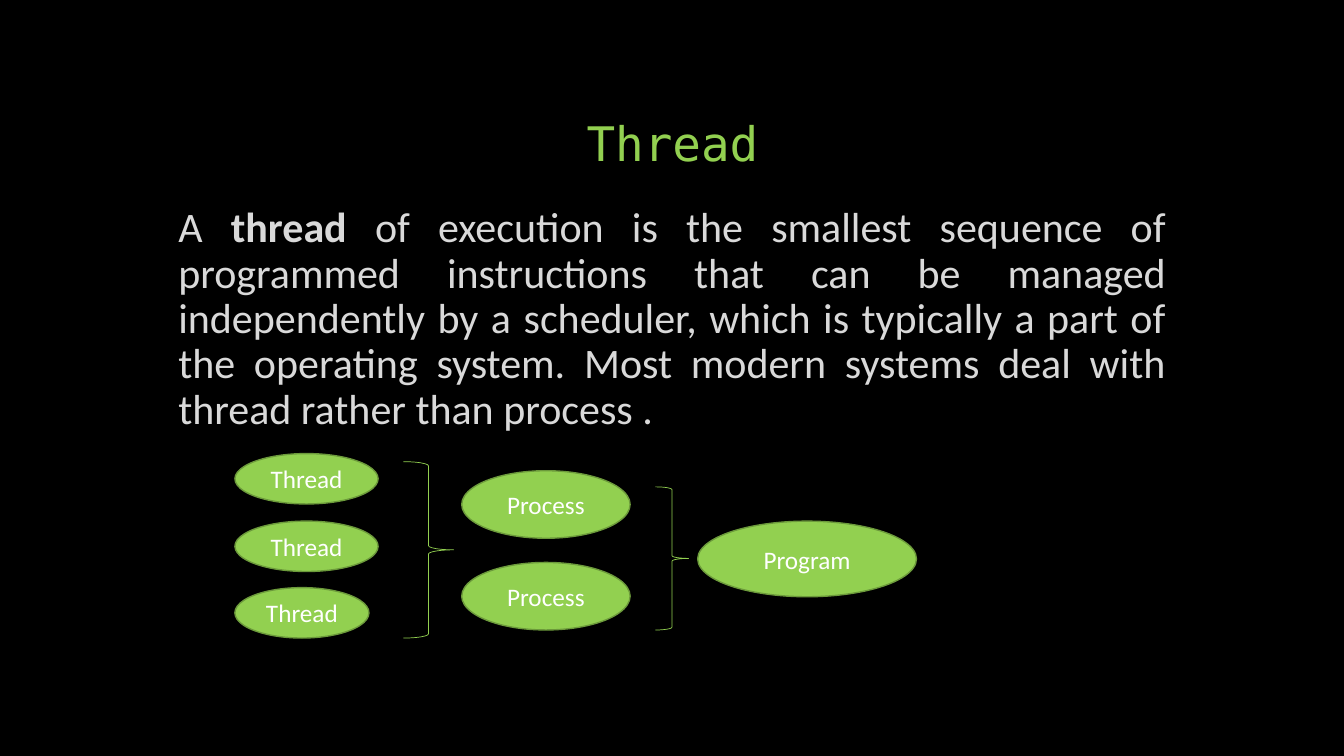
from pptx import Presentation
from pptx.dml.color import RGBColor
from pptx.enum.shapes import MSO_SHAPE
from pptx.enum.text import MSO_ANCHOR, PP_ALIGN
from pptx.util import Inches, Pt

COLORS = {"background": "000000", "green": "92D050", "outline": "6C9A3B",
          "body": "D9D9D9", "label": "FFFFFF"}
TITLE = "Thread"
# Each run is its text and whether it is bold.
DEFINITION = [
    ("A ", False),
    ("thread", True),
    (" of execution is the smallest sequence of programmed instructions that can be "
     "managed independently by a scheduler, which is typically a part of the operating "
     "system. Most modern systems deal with thread rather than process .", False),
]
# Label, left, top, width, height
ELLIPSES = [
    ("Thread", 2.33, 4.5, 1.42, 0.5),
    ("Thread", 2.33, 5.17, 1.42, 0.5),
    ("Thread", 2.33, 5.83, 1.33, 0.5),
    ("Process", 4.58, 4.67, 1.67, 0.67),
    ("Process", 4.58, 5.58, 1.67, 0.67),
    ("Program", 6.92, 5.17, 2.17, 0.75),
]
BRACES = [(4, 4.58, 0.5, 1.75), (6.5, 4.83, 0.33, 1.42)]


def color(name):
    return RGBColor.from_string(COLORS[name])


def style_text(para, size, color_name, align, font="Calibri"):
    para.alignment = align
    para.font.name = font
    para.font.size = Pt(size)
    para.font.color.rgb = color(color_name)


def add_text_box(page, bounds, anchor):
    """Add a wrapping text box and return its first paragraph."""
    frame = page.shapes.add_textbox(*map(Inches, bounds)).text_frame
    frame.word_wrap = True
    frame.vertical_anchor = anchor
    para = frame.paragraphs[0]
    para.line_spacing = 0.9
    return para


def add_outlined_shape(page, kind, bounds, line_color, line_width):
    shape = page.shapes.add_shape(kind, *map(Inches, bounds))
    shape.shadow.inherit = False
    shape.line.color.rgb = color(line_color)
    shape.line.width = Pt(line_width)
    return shape


def add_ellipse(page, label, *bounds):
    ellipse = add_outlined_shape(page, MSO_SHAPE.OVAL, bounds, "outline", 1)
    ellipse.fill.solid()
    ellipse.fill.fore_color.rgb = color("green")
    frame = ellipse.text_frame
    frame.vertical_anchor = MSO_ANCHOR.MIDDLE
    frame.text = label
    style_text(frame.paragraphs[0], 18, "label", PP_ALIGN.CENTER)


def main():
    deck = Presentation()
    deck.slide_width, deck.slide_height = Inches(13.33), Inches(7.5)
    page = deck.slides.add_slide(deck.slide_layouts[6])
    page.background.fill.solid()
    page.background.fill.fore_color.rgb = color("background")

    title = add_text_box(page, (1.67, 0.5, 10, 1.25), MSO_ANCHOR.BOTTOM)
    title.add_run().text = TITLE
    style_text(title, 34, "green", PP_ALIGN.CENTER, "DejaVu Sans Mono")

    definition = add_text_box(page, (1.67, 2, 10, 4.67), MSO_ANCHOR.TOP)
    for text, bold in DEFINITION:
        span = definition.add_run()
        span.text = text
        span.font.bold = bold
    style_text(definition, 30, "body", PP_ALIGN.JUSTIFY)

    for ellipse in ELLIPSES:
        add_ellipse(page, *ellipse)
    for bounds in BRACES:
        brace = add_outlined_shape(page, MSO_SHAPE.RIGHT_BRACE, bounds, "green", 0.5)
        brace.fill.background()

    deck.save("out.pptx")


if __name__ == "__main__":
    main()
